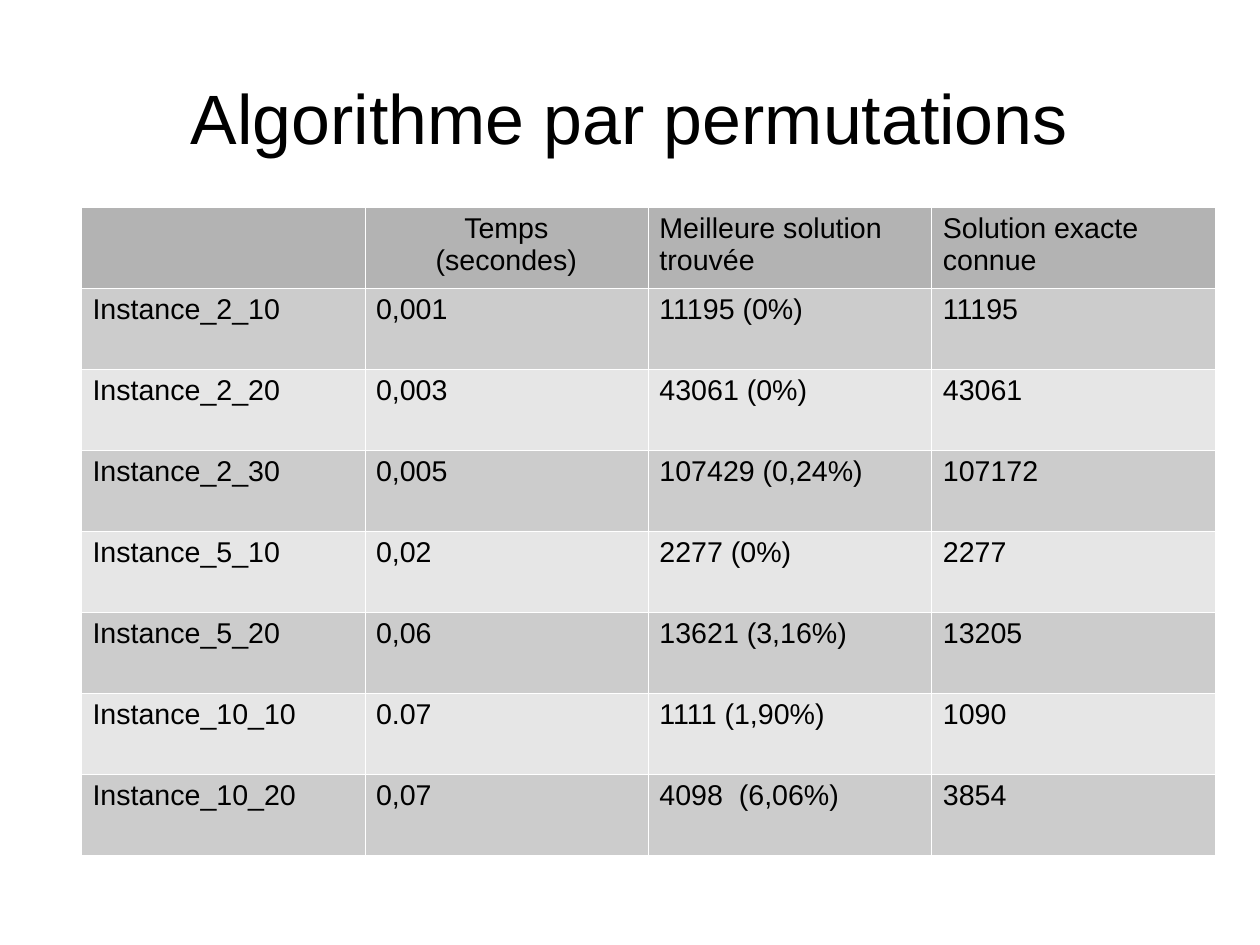
"""Build the slide of results for the permutation algorithm on a 28 by 21 cm page."""
import dataclasses

import lxml.etree
import pptx
import pptx.dml.color
import pptx.enum.text
import pptx.oxml.ns
import pptx.util

Inches = pptx.util.Inches
Align = pptx.enum.text.PP_ALIGN


@dataclasses.dataclass(frozen=True)
class Theme:
    font: str = "Arial"
    ink: str = "000000"
    head: str = "B3B3B3"
    bands: tuple = ("CCCCCC", "E6E6E6")
    rule: str = "FFFFFF"
    rule_width: float = 0.06
    title_size: int = 44
    cell_size: int = 18


theme = Theme()


def write(para, text, size, align):
    para.alignment = align
    run = para.add_run()
    run.text = text
    run.font.name = theme.font
    run.font.size = pptx.util.Pt(size)
    run.font.bold = False
    run.font.color.rgb = pptx.dml.color.RGBColor.from_string(theme.ink)


def add_rules(cell):
    qn = pptx.oxml.ns.qn
    props = cell._tc.get_or_add_tcPr()
    for side in ("a:lnL", "a:lnR", "a:lnT", "a:lnB"):
        line = lxml.etree.SubElement(props, qn(side), w=str(pptx.util.Pt(theme.rule_width)))
        fill = lxml.etree.SubElement(line, qn("a:solidFill"))
        lxml.etree.SubElement(fill, qn("a:srgbClr"), val=theme.rule)


deck = pptx.Presentation()
deck.slide_width = Inches(28) * 100 // 254
deck.slide_height = Inches(21) * 100 // 254
slide = deck.slides.add_slide(deck.slide_layouts[5])

title = slide.shapes.title
title.left, title.top = Inches(0.55), Inches(0.33)
title.width, title.height = Inches(9.92), Inches(1.38)
frame = title.text_frame
frame.margin_left = frame.margin_right = frame.margin_top = frame.margin_bottom = 0
frame.vertical_anchor = pptx.enum.text.MSO_ANCHOR.MIDDLE
write(frame.paragraphs[0], "Algorithme par permutations", theme.title_size, Align.CENTER)

rows = [
    ("", "Temps\n(secondes)", "Meilleure solution trouvée", "Solution exacte connue"),
    ("Instance_2_10", "0,001", "11195 (0%)", "11195"),
    ("Instance_2_20", "0,003", "43061 (0%)", "43061"),
    ("Instance_2_30", "0,005", "107429 (0,24%)", "107172"),
    ("Instance_5_10", "0,02", "2277 (0%)", "2277"),
    ("Instance_5_20", "0,06", "13621 (3,16%)", "13205"),
    ("Instance_10_10", "0.07", "1111 (1,90%)", "1090"),
    ("Instance_10_20", "0,07", "4098  (6,06%)", "3854"),
]

table = slide.shapes.add_table(
    len(rows), len(rows[0]), Inches(0.71), Inches(1.81), Inches(9.92), Inches(5.67)
).table

for r, row in enumerate(rows):
    shade = theme.bands[(r - 1) % 2] if r else theme.head
    for c, text in enumerate(row):
        cell = table.cell(r, c)
        add_rules(cell)
        cell.fill.solid()
        cell.fill.fore_color.rgb = pptx.dml.color.RGBColor.from_string(shade)
        if not text:
            continue
        align = Align.CENTER if (r, c) == (0, 1) else Align.LEFT
        for n, part in enumerate(text.split("\n")):
            body = cell.text_frame
            para = body.add_paragraph() if n else body.paragraphs[0]
            write(para, part, theme.cell_size, align)

deck.save("out.pptx")
